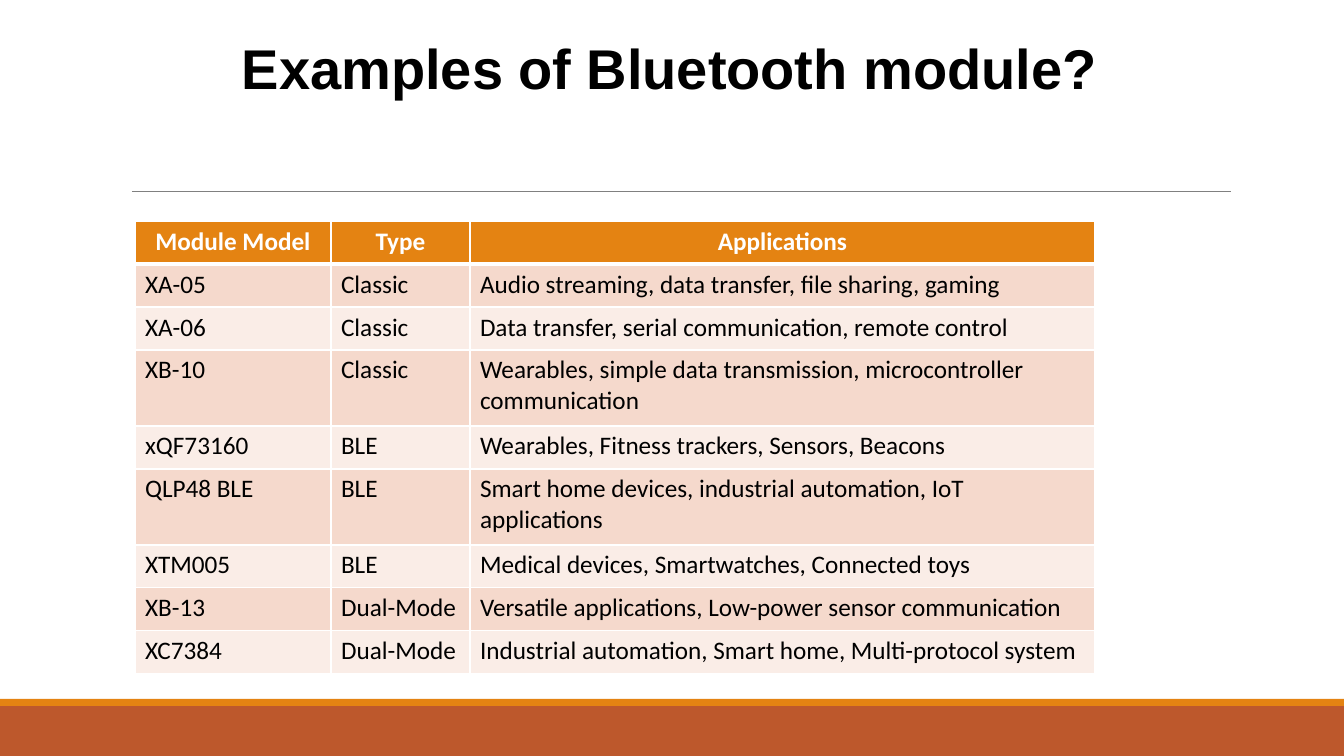
from lxml import etree
from pptx import Presentation, util as u
from pptx.dml.color import RGBColor
from pptx.enum import shapes, text
from pptx.oxml.ns import qn

EMU_PER_PX = 914400 / 100.8
SLIDE_WIDTH, SLIDE_HEIGHT = 1344, 756

COLORS = {
    "white": "FFFFFF",
    "black": "000000",
    "rule": "808080",
    "orange": "E48312",
    "rust": "BD582C",
    "band_dark": "F5D9CC",
    "band_light": "FAEDE7",
}
TITLE_FORMAT = {"name": "Arial", "size": u.Pt(40), "bold": True}
HEADER_FORMAT = {"name": "Calibri", "size": u.Pt(18), "bold": True}
BODY_FORMAT = {**HEADER_FORMAT, "bold": False}

COLUMN_WIDTHS = [196, 139, 625]
ROW_HEIGHT, TALL_ROW_HEIGHT = 43, 76
TALL_ROWS = {3, 5}
MODULES = [
    ("Module Model", "Type", "Applications"),
    ("XA-05", "Classic", "Audio streaming, data transfer, file sharing, gaming"),
    ("XA-06", "Classic", "Data transfer, serial communication, remote control"),
    ("XB-10", "Classic",
     "Wearables, simple data transmission, microcontroller communication"),
    ("xQF73160", "BLE", "Wearables, Fitness trackers, Sensors, Beacons"),
    ("QLP48 BLE", "BLE",
     "Smart home devices, industrial automation, IoT applications"),
    ("XTM005", "BLE", "Medical devices, Smartwatches, Connected toys"),
    ("XB-13", "Dual-Mode", "Versatile applications, Low-power sensor communication"),
    ("XC7384", "Dual-Mode", "Industrial automation, Smart home, Multi-protocol system"),
]


def px(length):
    return u.Emu(round(length * EMU_PER_PX))


def color(name):
    return RGBColor.from_string(COLORS[name])


def style_font(font, values, color_name):
    for attribute, value in values.items():
        setattr(font, attribute, value)
    font.color.rgb = color(color_name)


def add_band(slide, top, height, color_name):
    band = slide.shapes.add_shape(
        shapes.MSO_SHAPE.RECTANGLE, 0, px(top), px(SLIDE_WIDTH), px(height))
    band.shadow.inherit = False
    band.fill.solid()
    band.fill.fore_color.rgb = color(color_name)
    band.line.fill.background()


def add_rule(slide, left, right, y):
    rule = slide.shapes.add_connector(
        shapes.MSO_CONNECTOR.STRAIGHT, px(left), px(y), px(right), px(y))
    rule.line.color.rgb = color("rule")
    rule.line.width = u.Pt(0.5)
    etree.SubElement(rule._element.spPr, qn("a:effectLst"))


def add_title(slide, wording, left, top, width, height):
    title = slide.shapes.add_textbox(px(left), px(top), px(width), px(height))
    title.text_frame.word_wrap = True
    paragraph = title.text_frame.paragraphs[0]
    paragraph.text = wording
    style_font(paragraph.font, TITLE_FORMAT, "black")


def add_borders(cell, widths):
    """Draw white borders; widths maps the sides L, R, T, B to points."""
    properties = cell._tc.get_or_add_tcPr()
    for side, width in widths.items():
        border = etree.SubElement(
            properties, qn(f"a:ln{side}"), w=str(u.Pt(width)))
        fill = etree.SubElement(border, qn("a:solidFill"))
        etree.SubElement(fill, qn("a:srgbClr"), val=COLORS["white"])


def fill_cell(cell, wording, row):
    is_header = row == 0
    paragraph = cell.text_frame.paragraphs[0]
    paragraph.text = wording
    if is_header:
        paragraph.alignment = text.PP_ALIGN.CENTER
        style_font(paragraph.font, HEADER_FORMAT, "white")
        background = "orange"
    else:
        style_font(paragraph.font, BODY_FORMAT, "black")
        background = "band_dark" if row % 2 else "band_light"
    add_borders(cell, {"L": 1, "R": 1, "T": 3 if row == 1 else 1,
                       "B": 3 if is_header else 1})
    cell.fill.solid()
    cell.fill.fore_color.rgb = color(background)


def add_module_table(slide, left, top):
    heights = [TALL_ROW_HEIGHT if row in TALL_ROWS else ROW_HEIGHT
               for row in range(len(MODULES))]
    table = slide.shapes.add_table(
        len(MODULES), len(COLUMN_WIDTHS), px(left), px(top),
        px(sum(COLUMN_WIDTHS)), px(sum(heights))).table
    for column, width in zip(table.columns, COLUMN_WIDTHS):
        column.width = px(width)
    for row, (module, height) in enumerate(zip(MODULES, heights)):
        table.rows[row].height = px(height)
        for column, wording in enumerate(module):
            fill_cell(table.cell(row, column), wording, row)


def main():
    presentation = Presentation()
    presentation.slide_width = px(SLIDE_WIDTH)
    presentation.slide_height = px(SLIDE_HEIGHT)
    slide = presentation.slides.add_slide(presentation.slide_layouts[6])
    add_band(slide, 706, 50, "rust")
    add_band(slide, 699, 7, "orange")
    add_rule(slide, 132, 1231, 191)
    add_title(slide, "Examples of Bluetooth module?", 232, 29, 909, 109)
    add_module_table(slide, 135, 221)
    presentation.save("out.pptx")


if __name__ == "__main__":
    main()
